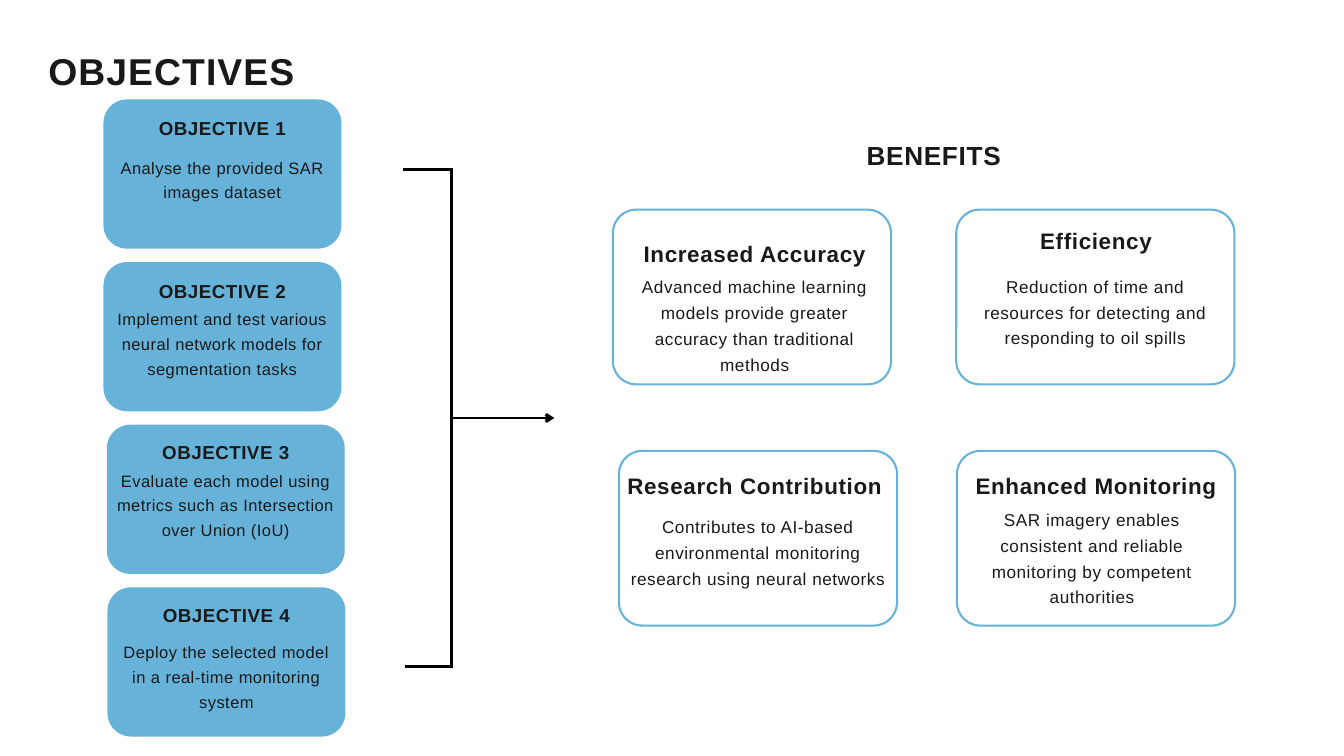
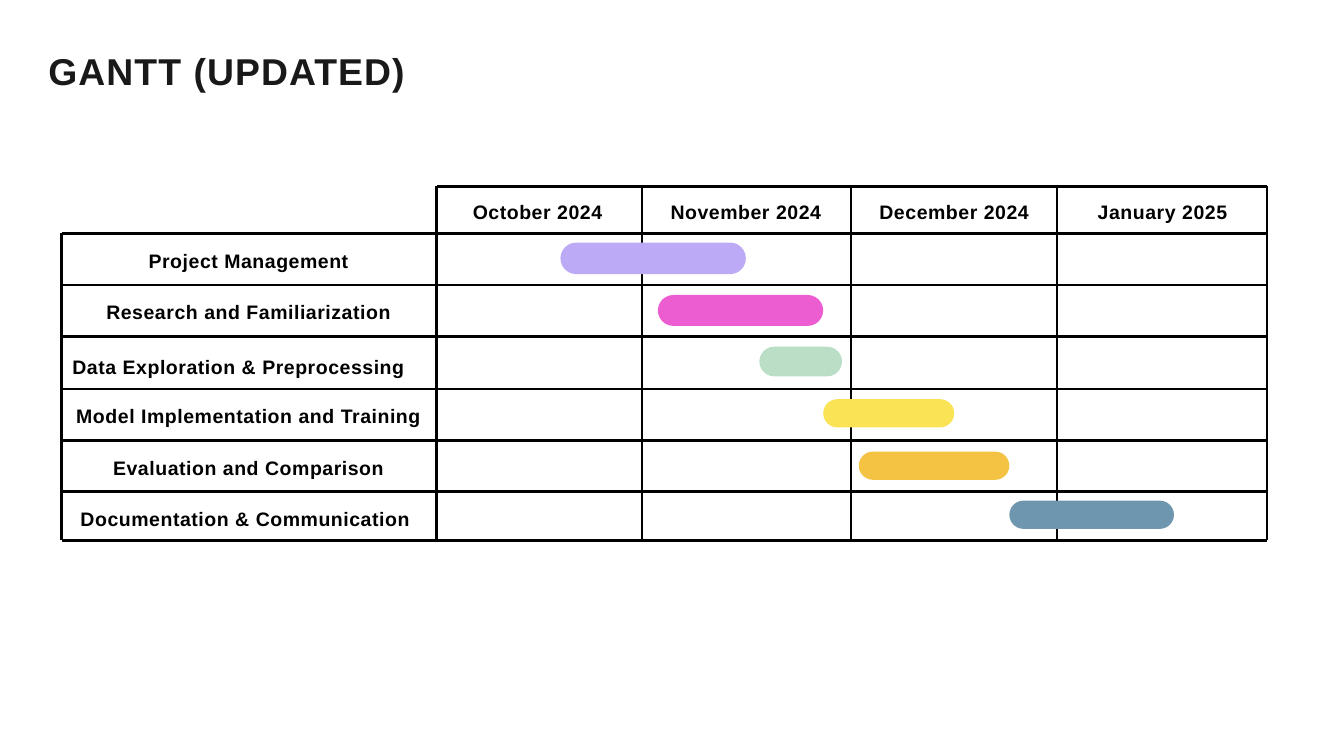
from itertools import product
from pptx import Presentation
from pptx.dml.color import RGBColor
from pptx.enum.shapes import MSO_CONNECTOR, MSO_SHAPE
from pptx.enum.text import MSO_ANCHOR, MSO_AUTO_SIZE, PP_ALIGN
from pptx.oxml.ns import qn
from pptx.oxml.xmlchemy import OxmlElement
from pptx.util import Inches, Pt

BLUE, INK, BLACK = "67B2D8", "191919", "000000"
FONT = "Arial"
CORNER = 0.35

# left, heading drop, body drop, body lines, heading, body
OBJECTIVES = [
    (1.54, 0.18, 0.79, 2, "OBJECTIVE 1", "Analyse the provided SAR images dataset"),
    (1.54, 0.18, 0.63, 3, "OBJECTIVE 2",
     "Implement and test various neural network models for segmentation tasks"),
    (1.59, 0.16, 0.61, 4, "OBJECTIVE 3",
     "Evaluate each model using metrics such as Intersection over Union (IoU)"),
    (1.6, 0.16, 0.74, 3, "OBJECTIVE 4",
     "Deploy the selected model in a real-time monitoring system"),
]
OBJECTIVE_TOP, OBJECTIVE_PITCH = 1.48, 2.42
OBJECTIVE_WIDTH, OBJECTIVE_HEIGHT = 3.54, 2.22

# card left, heading left, heading drop, body left, body drop, body lines, heading, body
BENEFITS = [
    (9.12, 9.15, 0.35, 9.32, 0.92, 4, "Increased Accuracy",
     "Advanced machine learning models provide greater accuracy than traditional methods"),
    (14.23, 14.23, 0.16, 14.39, 0.91, 3, "Efficiency",
     "Reduction of time and resources for detecting and responding to oil spills"),
    (9.21, 9.15, 0.22, 9.37, 0.9, 3, "Research Contribution",
     "Contributes to AI-based environmental monitoring research using neural networks"),
    (14.24, 14.23, 0.22, 14.34, 0.79, 4, "Enhanced Monitoring",
     "SAR imagery enables consistent and reliable monitoring by competent authorities"),
]
BENEFIT_TOPS = (3.12, 6.71)
BENEFIT_WIDTH, BENEFIT_HEIGHT = 4.14, 2.6

BRACKET_X, BRACKET_TOP, BRACKET_BOTTOM = 6.72, 2.52, 9.92

MONTHS = ["October 2024", "November 2024", "December 2024", "January 2025"]
# name, label centre, label drop, bar left, bar width, bar drop, bar height, colour
TASKS = [
    ("Project Management", 3.7, 0.14, 8.34, 2.76, 0.14, 0.47, "BDAAF6"),
    ("Research and Familiarization", 3.7, 0.14, 9.79, 2.46, 0.15, 0.46, "EC5DD2"),
    ("Data Exploration & Preprocessing", 3.55, 0.19, 11.3, 1.23, 0.15, 0.44, "BADEC6"),
    ("Model Implementation and Training", 3.7, 0.14, 12.25, 1.95, 0.15, 0.42, "FAE355"),
    ("Evaluation and Comparison", 3.7, 0.14, 12.78, 2.24, 0.16, 0.42, "F4C343"),
    ("Documentation & Communication", 3.65, 0.14, 15.02, 2.45, 0.13, 0.42, "6E96AE"),
]
GRID_COLUMNS = [0.92, 6.5, 9.55, 12.67, 15.73, 18.86]
GRID_ROWS = [2.77, 3.47, 4.24, 5.01, 5.79, 6.56, 7.32, 8.04]
MONTH_LEFT, MONTH_WIDTH, LABEL_WIDTH = 6.45, 3.1, 5.66


def color(value):
    return RGBColor.from_string(value)


def write(box, text, size, spacing, tracking, bold=False, ink=INK, align=PP_ALIGN.CENTER):
    frame = box.text_frame
    frame.auto_size = MSO_AUTO_SIZE.NONE
    frame.word_wrap = True
    frame.vertical_anchor = MSO_ANCHOR.TOP
    frame.margin_left = frame.margin_right = frame.margin_top = frame.margin_bottom = 0
    para = frame.paragraphs[0]
    para.text = text
    para.alignment = align
    para.line_spacing = Pt(spacing)
    para.space_before = Pt(0)
    font = para.font
    font.name, font.size, font.bold = FONT, Pt(size), bold
    font.color.rgb = color(ink)
    para._p.pPr.find(qn("a:defRPr")).set("spc", str(round(tracking * 100)))


def add_text(page, left, top, width, height, text, *style, **options):
    box = page.shapes.add_textbox(Inches(left), Inches(top), Inches(width), Inches(height))
    write(box, text, *style, **options)


def add_rounded(page, left, top, width, height, radius, fill=None, line=None):
    card = page.shapes.add_shape(MSO_SHAPE.ROUNDED_RECTANGLE, Inches(left), Inches(top),
                                 Inches(width), Inches(height))
    card.adjustments[0] = radius / min(width, height)
    card.shadow.inherit = False
    if fill:
        card.fill.solid()
        card.fill.fore_color.rgb = color(fill)
    else:
        card.fill.background()
    if line:
        card.line.color.rgb = color(line)
        card.line.width = Pt(2.25)
    else:
        card.line.fill.background()


def add_line(page, start, end, width=3, arrow=False):
    line = page.shapes.add_connector(MSO_CONNECTOR.STRAIGHT,
                                     *(Inches(value) for value in start + end))
    line.line.color.rgb = color(BLACK)
    line.line.width = Pt(width)
    if arrow:
        head = OxmlElement("a:tailEnd")
        head.set("type", "arrow")
        line.line._get_or_add_ln().append(head)
    line._element.spPr.append(OxmlElement("a:effectLst"))


def add_page(deck, title, width):
    page = deck.slides.add_slide(deck.slide_layouts[5])
    box = page.shapes.title
    box.left, box.top, box.width, box.height = (
        Inches(value) for value in (0.72, 0.66, width, 0.71))
    write(box, title, 40, 52.4, 1.2, bold=True, align=PP_ALIGN.LEFT)
    return page


def build_objectives(deck):
    page = add_page(deck, "OBJECTIVES", 6.44)

    for index, (left, heading_drop, body_drop, lines, heading, body) in enumerate(OBJECTIVES):
        top = OBJECTIVE_TOP + index * OBJECTIVE_PITCH
        add_rounded(page, left, top, OBJECTIVE_WIDTH, OBJECTIVE_HEIGHT, CORNER, fill=BLUE)
        add_text(page, left, top + heading_drop, OBJECTIVE_WIDTH, 0.41, heading,
                 20.1, 30.1, 0.6, bold=True)
        add_text(page, left + 0.14, top + body_drop, OBJECTIVE_WIDTH - 0.28, lines * 0.36, body,
                 17.7, 26.6, 0.5)

    add_text(page, 12.87, 1.96, 2.05, 0.54, "BENEFITS", 28, 42, 0.8, bold=True)
    tops = [top for top, _ in product(BENEFIT_TOPS, range(2))]
    for top, benefit in zip(tops, BENEFITS):
        left, heading_left, heading_drop, body_left, body_drop, lines, heading, body = benefit
        add_rounded(page, left, top, BENEFIT_WIDTH, BENEFIT_HEIGHT, CORNER, line=BLUE)
        add_text(page, heading_left, top + heading_drop, 4.16, 0.46, heading,
                 24, 36, 0.7, bold=True)
        add_text(page, body_left, top + body_drop, 3.82, lines * 0.37, body, 18.4, 27.7, 0.6)

    middle = (BRACKET_TOP + BRACKET_BOTTOM) / 2
    add_line(page, (BRACKET_X, BRACKET_BOTTOM), (BRACKET_X, BRACKET_TOP - 0.02))
    add_line(page, (6, BRACKET_TOP), (BRACKET_X, BRACKET_TOP))
    add_line(page, (6.03, BRACKET_BOTTOM), (BRACKET_X + 0.02, BRACKET_BOTTOM))
    add_line(page, (BRACKET_X + 0.02, middle), (8.25, middle), arrow=True)


def build_gantt(deck):
    page = add_page(deck, "GANTT (UPDATED)", 9.28)
    label_style = dict(size=20.9, spacing=31.4, tracking=0.6, bold=True, ink=BLACK)
    first, last = GRID_COLUMNS[0], GRID_COLUMNS[-1]
    top, bottom = GRID_ROWS[0], GRID_ROWS[-1]

    for row in GRID_ROWS:
        start = GRID_COLUMNS[1] if row == top else first
        add_line(page, (start, row), (last, row))
    for index, column in enumerate(GRID_COLUMNS):
        start = GRID_ROWS[1] if column == first else top
        add_line(page, (column, start), (column, bottom), 3 if index < 2 else 2.25)

    for index, month in enumerate(MONTHS):
        add_text(page, MONTH_LEFT + index * MONTH_WIDTH, top + 0.12, MONTH_WIDTH, 0.41,
                 month, **label_style)
    for row, task in zip(GRID_ROWS[1:], TASKS):
        name, centre, label_drop, left, width, bar_drop, height, fill = task
        add_text(page, centre - LABEL_WIDTH / 2, row + label_drop, LABEL_WIDTH, 0.41,
                 name, **label_style)
        add_rounded(page, left, row + bar_drop, width, height, height / 2, fill=fill)


def main():
    deck = Presentation()
    deck.slide_width, deck.slide_height = Inches(20), Inches(11.25)
    build_objectives(deck)
    build_gantt(deck)
    deck.save("out.pptx")


if __name__ == "__main__":
    main()
